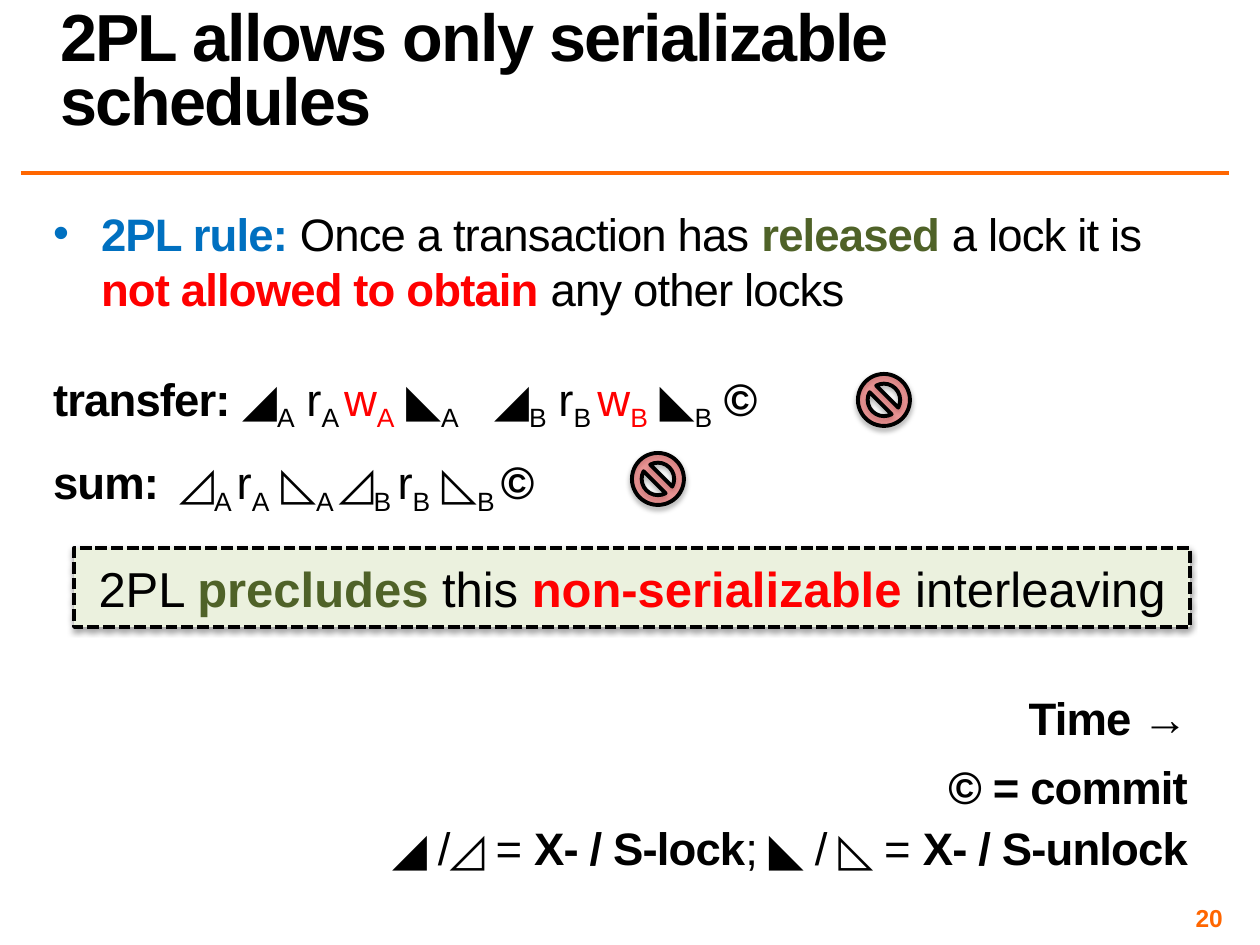
from dataclasses import dataclass

from lxml import etree
from pptx import Presentation
from pptx.dml.color import RGBColor
from pptx.enum.dml import MSO_LINE
from pptx.enum.shapes import MSO_CONNECTOR, MSO_SHAPE
from pptx.enum.text import MSO_ANCHOR, PP_ALIGN
from pptx.oxml.ns import qn
from pptx.util import Pt

PX = 914400 // 126
LEFT, CENTER, RIGHT = PP_ALIGN.LEFT, PP_ALIGN.CENTER, PP_ALIGN.RIGHT
TOP, MIDDLE, BOTTOM = MSO_ANCHOR.TOP, MSO_ANCHOR.MIDDLE, MSO_ANCHOR.BOTTOM


@dataclass(frozen=True)
class Theme:
    font: str = "Arial"
    black: str = "000000"
    blue: str = "0070C0"
    green: str = "4F6228"
    red: str = "FF0000"
    orange: str = "FF6600"
    pale: str = "EBF1DE"
    title: int = 38
    callout: int = 28
    body: int = 26
    number: int = 14


T = Theme()

# A run is (text, style); the style letters are keys of STYLES.
STYLES = {
    "b": {"bold": True},
    "s": {"sub": True},
    "B": {"color": T.blue},
    "G": {"color": T.green},
    "R": {"color": T.red},
    "O": {"color": T.orange},
}

TITLE = [{"runs": [("2PL allows only serializable schedules", "b")], "line": 0.8}]
RULE = {
    "runs": [("2PL rule:", "bB"), (" Once a transaction has ", ""),
             ("released ", "bG"), ("a lock it is ", ""),
             ("not allowed to obtain ", "bR"), ("any other locks", "")],
    "after": 8, "bullet": 48,
}
TRANSFER = {
    "runs": [("transfer:", "b"),
             ("\t◢", ""), ("A", "s"), (" r", ""), ("A ", "s"),
             ("w", "R"), ("A", "sR"), (" ◣", ""), ("A", "s"),
             ("\t◢", ""), ("B", "s"), (" r", ""), ("B ", "s"),
             ("w", "R"), ("B", "sR"), (" ◣", ""), ("B", "s"), (" ©", "b")],
    "before": 24, "after": 6, "tabs": [252, 567],
}
SUM = {
    "runs": [("sum:", "b"),
             ("\t◿", ""), ("A ", "s"), ("r", ""), ("A", "s"),
             (" ◺", ""), ("A ", "s"),
             ("◿", ""), ("B ", "s"), ("r", ""), ("B", "s"),
             (" ◺", ""), ("B ", "s"), ("©", "b")],
    "before": 6, "after": 6, "tabs": [202],
}
LEGEND = [
    {"runs": [("Time →", "b")], "after": 6},
    {"runs": [("© = commit", "b")], "before": 2, "after": 2},
    {"runs": [("◢ /◿ = ", ""), ("X- / S-lock", "b"),
              ("; ◣ / ◺ = ", ""), ("X- / S-unlock", "b")], "before": 2},
]
CALLOUT = [{"runs": [("2PL ", ""), ("precludes ", "bG"), ("this ", ""),
                     ("non-serializable ", "bR"), ("interleaving", "")]}]
NUMBER = [{"runs": [("20", "bO")]}]
NO_SIGNS = [(858, 374), (632, 453)]
SIGN_SIZE = 52


def px(*lengths):
    return [n * PX for n in lengths]


def rgb(value):
    return RGBColor.from_string(value)


def add_list_format(p, bullet=0, tabs=()):
    """Set a hanging bullet (indent in px) or left tab stops (in px)."""
    pPr = p._p.get_or_add_pPr()
    pPr.set("marL", str(bullet * PX))
    pPr.set("indent", str(-bullet * PX))
    if bullet:
        etree.SubElement(pPr, qn("a:buFont"), typeface=T.font)
        etree.SubElement(pPr, qn("a:buChar"), char="•")
    if tabs:
        tab_list = etree.SubElement(pPr, qn("a:tabLst"))
        for pos in tabs:
            etree.SubElement(tab_list, qn("a:tab"), pos=str(pos * PX), algn="l")


def add_run(p, text, style, size, spacing):
    look = {}
    for letter in style:
        look.update(STYLES[letter])
    r = p.add_run()
    r.text = text
    r.font.name, r.font.size = T.font, Pt(size)
    r.font.bold = look.get("bold", False)
    r.font.color.rgb = rgb(look.get("color", T.black))
    rPr = r._r.get_or_add_rPr()
    if spacing:
        rPr.set("spc", str(spacing))
    if look.get("sub"):
        rPr.set("baseline", "-25000")


def fill_text(sp, paragraphs, size, align=LEFT, anchor=TOP, inset=5, spacing=0):
    tf = sp.text_frame
    tf.word_wrap = True
    tf.vertical_anchor = anchor
    tf.margin_left = tf.margin_right = tf.margin_top = tf.margin_bottom = inset * PX
    for i, item in enumerate(paragraphs):
        p = tf.add_paragraph() if i else tf.paragraphs[0]
        add_list_format(p, item.get("bullet", 0), item.get("tabs", ()))
        p.alignment = align
        p.line_spacing = item.get("line", 1.0)
        p.space_before = Pt(item.get("before", 0))
        p.space_after = Pt(item.get("after", 0))
        for text, style in item["runs"]:
            add_run(p, text, style, size, spacing)


def add_text(slide, box, paragraphs, size, **options):
    fill_text(slide.shapes.add_textbox(*px(*box)), paragraphs, size, **options)


def add_shadowed(slide, kind, box, fill):
    """Add a filled shape with a black outline and a soft shadow below it."""
    sp = slide.shapes.add_shape(kind, *px(*box))
    sp.fill.solid()
    sp.fill.fore_color.rgb = rgb(fill)
    sp.line.color.rgb = rgb(T.black)
    sp.line.width = Pt(2.25)
    sp.shadow.inherit = False
    effects = sp._element.spPr.find(qn("a:effectLst"))
    shadow = etree.SubElement(effects, qn("a:outerShdw"), blurRad=str(Pt(3.1)),
                              dist=str(Pt(1.8)), dir="5400000", rotWithShape="0")
    color = etree.SubElement(shadow, qn("a:srgbClr"), val=T.black)
    etree.SubElement(color, qn("a:alpha"), val="35000")
    return sp


def main():
    prs = Presentation()
    prs.slide_width, prs.slide_height = px(1260, 945)
    slide = prs.slides.add_slide(prs.slide_layouts[6])

    rule = slide.shapes.add_connector(MSO_CONNECTOR.STRAIGHT, *px(21, 173, 1229, 173))
    rule.line.color.rgb = rgb(T.orange)
    rule.line.width = Pt(2)
    etree.SubElement(rule._element.spPr, qn("a:effectLst"))

    add_text(slide, (48, 3, 1170, 147), TITLE, T.title,
             anchor=BOTTOM, inset=12, spacing=-100)
    add_text(slide, (48, 201, 1145, 330), [RULE, TRANSFER, SUM], T.body, spacing=-50)
    add_text(slide, (48, 685, 1145, 200), LEGEND, T.body, align=RIGHT, spacing=-50)
    add_text(slide, (935, 903, 293, 30), NUMBER, T.number, align=RIGHT, anchor=MIDDLE)

    callout = add_shadowed(slide, MSO_SHAPE.RECTANGLE, (74, 548, 1116, 79), T.pale)
    callout.line.dash_style = MSO_LINE.SQUARE_DOT
    fill_text(callout, CALLOUT, T.callout, align=CENTER, anchor=MIDDLE)

    for left, top in NO_SIGNS:
        sign = add_shadowed(slide, MSO_SHAPE.NO_SYMBOL,
                            (left, top, SIGN_SIZE, SIGN_SIZE), T.red)
        color = sign._element.spPr.find(qn("a:solidFill"))[0]
        etree.SubElement(color, qn("a:alpha"), val="33000")

    prs.save("out.pptx")


if __name__ == "__main__":
    main()
